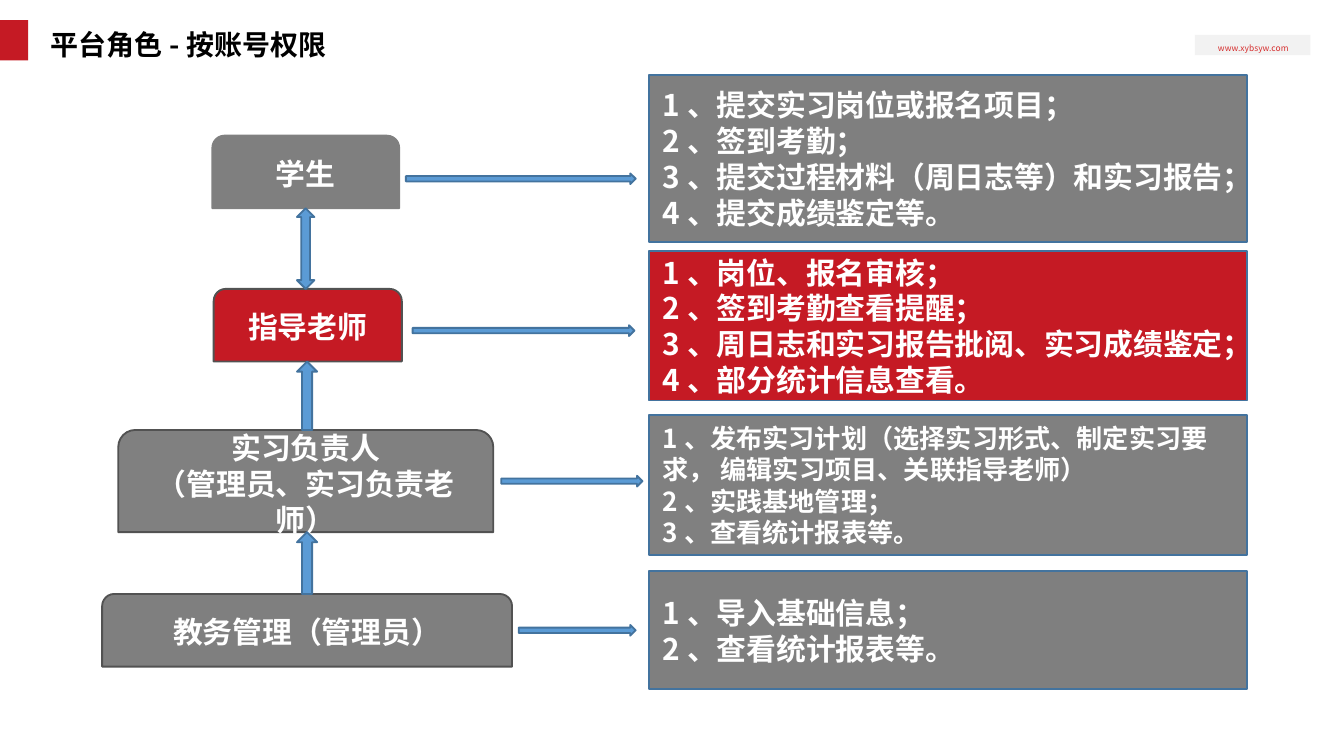
from lxml import etree
from pptx import Presentation
from pptx.dml.color import RGBColor
from pptx.enum.shapes import MSO_SHAPE as SHAPE
from pptx.enum.text import MSO_ANCHOR as ANCHOR, PP_ALIGN as ALIGN
from pptx.oxml.ns import qn
from pptx.util import Inches, Pt

FONT = "Noto Sans CJK SC"
RED, GRAY, MID_GRAY, DARK, WHITE = "C51A24", "7F7F7F", "808080", "525252", "FFFFFF"
BLUE, BLUE_LINE = "5B9BD5", "43739E"

TITLE = "平台角色-按账号权限"
SITE = "www.xybsyw.com"

# One row per role: role box, arrow to the right, duties box
ROWS = [
    dict(role=["学生"], box=(1.58, 1.01, 1.39, 0.54), fill=GRAY, line=MID_GRAY,
         arrow=(3.02, 1.29, 1.71), top=0.56, height=1.24, size=16,
         duties=["1、提交实习岗位或报名项目；", "2、签到考勤；",
                 "3、提交过程材料（周日志等）和实习报告；", "4、提交成绩鉴定等。"]),
    dict(role=["指导老师"], box=(1.59, 2.15, 1.4, 0.54), fill=RED, line=DARK,
         arrow=(3.07, 2.42, 1.65), top=1.87, height=1.11, size=16,
         duties=["1、岗位、报名审核；", "2、签到考勤查看提醒；",
                 "3、周日志和实习报告批阅、实习成绩鉴定；", "4、部分统计信息查看。"]),
    dict(role=["实习负责人", "（管理员、实习负责老师）"], box=(0.88, 3.2, 2.79, 0.76),
         fill=MID_GRAY, line=DARK,
         arrow=(3.73, 3.54, 1.05), top=3.09, height=1.04, size=14,
         duties=["1、发布实习计划（选择实习形式、制定实习要求， 编辑实习项目、关联指导老师）",
                 "2、实践基地管理；", "3、查看统计报表等。"]),
    dict(role=["教务管理（管理员）"], box=(0.76, 4.42, 3.05, 0.54), fill=GRAY, line=DARK,
         arrow=(3.86, 4.65, 0.87), top=4.25, height=0.88, size=16,
         duties=["1、导入基础信息；", "2、查看统计报表等。"]),
]
DUTY_LEFT, DUTY_WIDTH, ARROW_HEIGHT = 4.83, 4.45, 0.08

# Arrow between each role and the next one down: preset and width
LINKS = [(SHAPE.UP_DOWN_ARROW, 0.13), (SHAPE.UP_ARROW, 0.15), (SHAPE.UP_ARROW, 0.15)]
LINK_LEFT = 2.21


def rgb(color):
    return RGBColor.from_string(color)


def add_shape(kind, box, fill, line=None):
    sp = slide.shapes.add_shape(kind, *map(Inches, box))
    sp.shadow.inherit = False
    sp.fill.solid()
    sp.fill.fore_color.rgb = rgb(fill)
    if line:
        sp.line.color.rgb = rgb(line)
        sp.line.width = Pt(1)
    else:
        sp.line.fill.background()
    return sp


def write(sp, lines, size, color=WHITE, bold=True, align=ALIGN.LEFT, anchor=ANCHOR.MIDDLE):
    tf = sp.text_frame
    tf.word_wrap = True
    tf.vertical_anchor = anchor
    for i, line in enumerate(lines):
        p = tf.paragraphs[0] if i == 0 else tf.add_paragraph()
        p.alignment = align
        r = p.add_run()
        r.text = line
        r.font.size, r.font.bold, r.font.name = Pt(size), bold, FONT
        r.font.color.rgb = rgb(color)
        # East Asian typeface
        etree.SubElement(r.font._element, qn("a:ea"), typeface=FONT)
    return tf


# Widescreen slide, 16:9
prs = Presentation()
prs.slide_width = Inches(10)
prs.slide_height = Inches(10 * 9 / 16)
slide = prs.slides.add_slide(prs.slide_layouts[6])

# Header: red marker, title and site label
add_shape(SHAPE.RECTANGLE, (0, 0.15, 0.21, 0.3), RED)
add_shape(SHAPE.RECTANGLE, (8.89, 0.26, 0.86, 0.15), "F2F2F2")
site = slide.shapes.add_textbox(*map(Inches, (9, 0.27, 0.65, 0.18)))
tf = write(site, [SITE], 4.5, "D62F2F", False, ALIGN.CENTER, ANCHOR.TOP)
tf.margin_left = tf.margin_right = tf.margin_top = tf.margin_bottom = Inches(0.05)
title = slide.shapes.add_textbox(*map(Inches, (0.28, 0.08, 5.97, 0.43)))
tf = write(title, [TITLE], 15, "000000", anchor=ANCHOR.BOTTOM)
tf.paragraphs[0].line_spacing = 0.9

# Roles, with an arrow to the duties of each
for row in ROWS:
    role = add_shape(SHAPE.ROUND_2_SAME_RECTANGLE, row["box"], row["fill"], row["line"])
    write(role, row["role"], 16, align=ALIGN.CENTER)
    add_shape(SHAPE.RIGHT_ARROW, (*row["arrow"], ARROW_HEIGHT), BLUE, BLUE_LINE)
    duties = add_shape(SHAPE.RECTANGLE, (DUTY_LEFT, row["top"], DUTY_WIDTH, row["height"]),
                       row["fill"], BLUE_LINE)
    write(duties, row["duties"], row["size"])

# Vertical arrows fill the gaps between the roles
for upper, lower, (kind, width) in zip(ROWS, ROWS[1:], LINKS):
    top = upper["box"][1] + upper["box"][3]
    add_shape(kind, (LINK_LEFT, top, width, lower["box"][1] - top), BLUE, BLUE_LINE)

prs.save("out.pptx")
